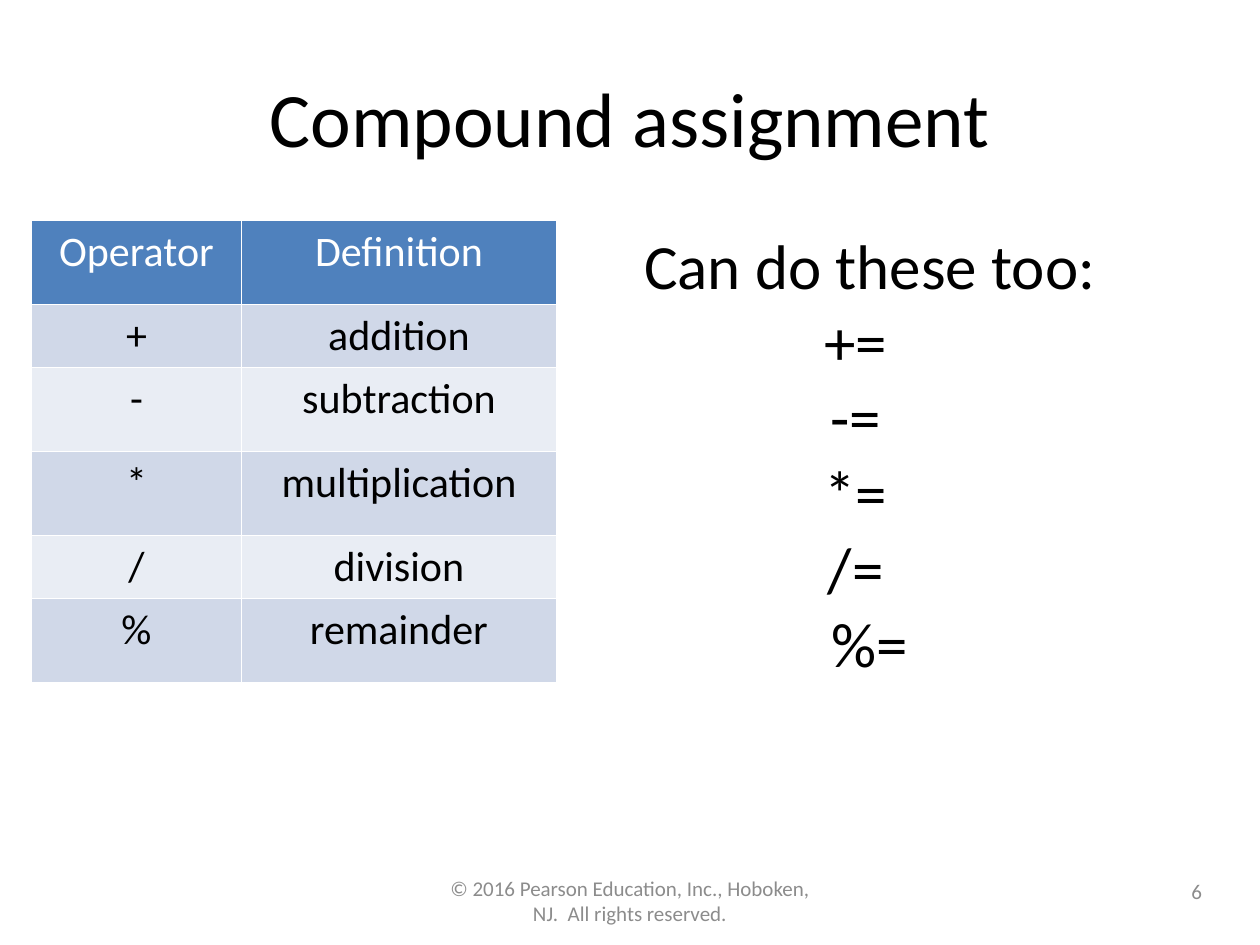
from pptx import Presentation
from pptx.dml.color import RGBColor as RGB
from pptx.enum.text import MSO_ANCHOR as Anchor, PP_ALIGN as Align
from pptx.oxml import parse_xml
from pptx.oxml.ns import nsdecls
from pptx.util import Pt

COLORS = {
    "text": "000000",
    "footer": "8C8C8C",
    "white": "FFFFFF",
    "header": "4F81BD",
    "odd_row": "D0D8E8",
    "even_row": "E9EDF4",
}


class SlideBuilder:
    font = "Calibri"

    def __init__(self, slide):
        self.slide = slide

    def style(self, frame, size, color="text", align=Align.CENTER):
        for paragraph in frame.paragraphs:
            paragraph.alignment = align
            for run in paragraph.runs:
                run.font.name = self.font
                run.font.size = Pt(size)
                run.font.color.rgb = RGB.from_string(COLORS[color])

    def title(self, text, left, top, width, height):
        heading = self.slide.shapes.title
        heading.left, heading.top = Pt(left), Pt(top)
        heading.width, heading.height = Pt(width), Pt(height)
        heading.text_frame.text = text
        heading.text_frame.vertical_anchor = Anchor.MIDDLE
        self.style(heading.text_frame, 44)

    def text(self, text, left, top, width, height, size, color="text",
             align=Align.CENTER, anchor=Anchor.TOP):
        box = self.slide.shapes.add_textbox(Pt(left), Pt(top), Pt(width), Pt(height))
        frame = box.text_frame
        frame.word_wrap = True
        frame.vertical_anchor = anchor
        frame.text = text
        self.style(frame, size, color, align)
        return frame

    def border(self, cell):
        properties = cell._tc.get_or_add_tcPr()
        for position, side in enumerate(("lnL", "lnR", "lnT", "lnB")):
            properties.insert(position, parse_xml(
                f'<a:{side} {nsdecls("a")} w="{Pt(1)}"><a:solidFill>'
                f'<a:srgbClr val="{COLORS["white"]}"/></a:solidFill></a:{side}>'))

    def table(self, rows, left, top, widths, heights):
        grid = self.slide.shapes.add_table(
            len(rows), len(widths), Pt(left), Pt(top),
            Pt(sum(widths)), Pt(sum(heights))).table
        for column, width in zip(grid.columns, widths):
            column.width = Pt(width)
        for index, (row, height, values) in enumerate(zip(grid.rows, heights, rows)):
            row.height = Pt(height)
            band = "header" if index == 0 else "odd_row" if index % 2 else "even_row"
            for cell, value in zip(row.cells, values):
                cell.text_frame.text = value
                self.style(cell.text_frame, 24, "white" if index == 0 else "text")
                cell.fill.solid()
                cell.fill.fore_color.rgb = RGB.from_string(COLORS[band])
                self.border(cell)


def main():
    deck = Presentation()
    deck.slide_width, deck.slide_height = Pt(720), Pt(540)
    builder = SlideBuilder(deck.slides.add_slide(deck.slide_layouts[5]))

    builder.title("Compound assignment", 36, 21.6, 648, 90)
    builder.text("© 2016 Pearson Education, Inc., Hoboken, NJ.  All rights reserved.",
                 246, 500.4, 228, 28.8, 12, "footer", anchor=Anchor.MIDDLE)
    builder.text("6", 526, 494.6, 168, 28.8, 12, "footer", Align.RIGHT, Anchor.MIDDLE)

    operators = builder.text("Can do these too:\n+=\n-=\n*=\n/=\n%=",
                             350, 126, 278, 269, 36)
    operators.margin_left = operators.margin_right = 0
    for shifted in (operators.paragraphs[0], operators.paragraphs[-1]):
        shifted._p.get_or_add_pPr().set("marL", str(Pt(16)))

    definitions = [
        ("Operator", "Definition"),
        ("+", "addition"),
        ("-", "subtraction"),
        ("*", "multiplication"),
        ("/", "division"),
        ("%", "remainder"),
    ]
    builder.table(definitions, 18, 126, [120, 180], [48, 36, 48, 48, 36, 48])
    deck.save("out.pptx")


if __name__ == "__main__":
    main()
